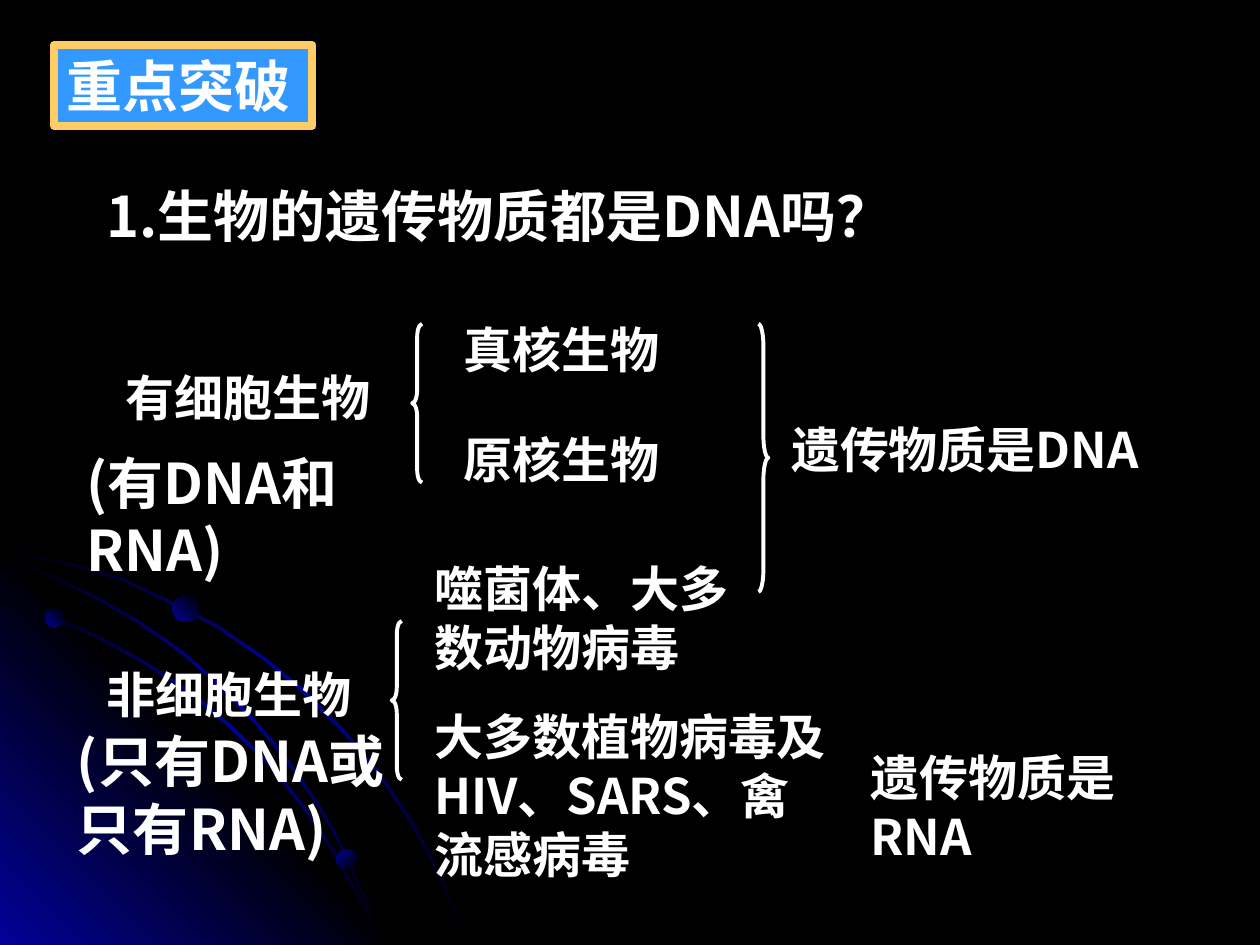
from lxml.etree import SubElement
from pptx import Presentation
from pptx.dml.color import RGBColor
from pptx.enum.shapes import MSO_SHAPE as Preset
from pptx.enum.text import MSO_ANCHOR as Anchor, MSO_AUTO_SIZE as AutoSize, PP_ALIGN as Align
from pptx.oxml.ns import qn
from pptx.util import Cm, Pt

color = RGBColor.from_string
CJK_FONT = "Noto Sans CJK SC"
WHITE, BLACK, NAVY = "FFFFFF", "000000", "010199"
SLIDE_BOTTOM = 1905


def write_text(shape, text, size=28, font=CJK_FONT):
    frame = shape.text_frame
    frame.word_wrap = True
    frame.auto_size = AutoSize.SHAPE_TO_FIT_TEXT
    frame.vertical_anchor = Anchor.TOP
    paragraph = frame.paragraphs[0]
    paragraph.alignment = Align.LEFT
    run = paragraph.add_run()
    run.text = text
    run.font.size = Pt(size)
    run.font.bold = True
    run.font.name = font
    run.font.color.rgb = color(WHITE)
    SubElement(run.font._element, qn("a:ea"), typeface=CJK_FONT)


def fill_gradient(shape, colors, angle):
    shape.shadow.inherit = False
    shape.line.fill.background()
    shape.fill.gradient()
    shape.fill.gradient_angle = angle
    stops = shape._element.spPr.find(qn("a:gradFill")).find(qn("a:gsLst"))
    for stop in list(stops):
        stops.remove(stop)
    for index, value in enumerate(colors):
        position = 100000 * index // (len(colors) - 1)
        stop = SubElement(stops, qn("a:gs"), pos=str(position))
        SubElement(stop, qn("a:srgbClr"), val=value)


presentation = Presentation()
presentation.slide_width, presentation.slide_height = Cm(25.4), Cm(19.05)
slide = presentation.slides.add_slide(presentation.slide_layouts[6])
slide.background.fill.solid()
slide.background.fill.fore_color.rgb = color(BLACK)

outer_orbit = [(0, 1105), (71, 1120), (145, 1135), (249, 1166), (345, 1212),
               (442, 1262), (531, 1323), (615, 1392), (691, 1468), (762, 1552),
               (826, 1646), (861, 1709), (894, 1773), (919, 1836), (945, 1902)]
inner_orbit = [(0, 1207), (104, 1240), (201, 1283), (297, 1336), (386, 1394),
               (467, 1463), (546, 1539), (615, 1626), (676, 1717), (726, 1808),
               (752, 1854), (770, 1902)]
middle_orbit = [(0, 1123), (99, 1156), (193, 1201), (282, 1252), (366, 1311),
                (445, 1379), (518, 1455), (582, 1532), (645, 1623), (683, 1689),
                (716, 1760), (747, 1829), (770, 1902)]
orbit_colors = [BLACK, NAVY, BLACK]
corner = [(0, 1085), (818, SLIDE_BOTTOM), (0, SLIDE_BOTTOM)]

outlines = [
    [*orbit, *[(max(x - 4, 0), min(y + 4, 1902)) for x, y in reversed(orbit)]]
    for orbit in (outer_orbit, inner_orbit, middle_orbit)
]
backdrop = [(outline, orbit_colors, 315) for outline in outlines]
backdrop.insert(1, (corner, [NAVY, BLACK, NAVY], 45))
for outline, colors, angle in backdrop:
    builder = slide.shapes.build_freeform(*outline[0], scale=Cm(0.01))
    builder.add_line_segments(outline[1:], close=True)
    fill_gradient(builder.convert_to_shape(), colors, angle)

for left, top, diameter, angle in [
    (0.91, 12.27, 0.38, 45),
    (6.78, 17.12, 0.41, 315),
    (3.48, 12.01, 0.53, 45),
]:
    planet = slide.shapes.add_shape(
        Preset.OVAL, Cm(left), Cm(top), Cm(diameter), Cm(diameter))
    fill_gradient(planet, [NAVY, BLACK], angle)

heading = slide.shapes.add_shape(
    Preset.RECTANGLE, Cm(1.09), Cm(0.91), Cm(5.21), Cm(1.63))
heading.shadow.inherit = False
heading.fill.solid()
heading.fill.fore_color.rgb = color("3399FF")
heading.line.color.rgb = color("FFCC66")
heading.line.width = Pt(4.5)
write_text(heading, "重点突破", size=32, font="Comic Neue")

for preset, left, top, height in [
    (Preset.LEFT_BRACE, 8.31, 6.53, 3.2),
    (Preset.LEFT_BRACE, 7.9, 12.52, 3.2),
    (Preset.RIGHT_BRACE, 15.29, 6.53, 5.4),
]:
    width = 0.2
    brace = slide.shapes.add_shape(preset, Cm(left), Cm(top), Cm(width), Cm(height))
    brace.shadow.inherit = False
    brace.adjustments[0] = height / 12 / width
    brace.fill.background()
    brace.line.color.rgb = color(WHITE)
    brace.line.width = Pt(2.25)

for text, size, left, top, width, height in [
    ("1.生物的遗传物质都是DNA吗？", 32, 1.9, 3.53, 16.41, 1.63),
    ("有细胞生物", 28, 2.29, 7.29, 5.99, 1.45),
    ("非细胞生物", 28, 1.9, 13.28, 5.79, 1.45),
    ("真核生物", 28, 9.09, 6.32, 4.8, 1.45),
    ("原核生物", 28, 9.09, 8.53, 4.8, 1.45),
    ("噬菌体、大多数动物病毒", 28, 8.51, 11.13, 7.39, 2.64),
    ("大多数植物病毒及HIV、SARS、禽流感病毒", 28, 8.51, 14.12, 8.59, 3.81),
    ("遗传物质是DNA", 28, 15.7, 8.33, 7.59, 2.64),
    ("遗传物质是RNA", 28, 17.3, 14.94, 7.21, 2.64),
    ("(有DNA和RNA)", 32, 1.5, 8.92, 6.81, 2.97),
    ("(只有DNA或只有RNA)", 32, 1.3, 14.53, 6.81, 4.32),
]:
    label = slide.shapes.add_textbox(Cm(left), Cm(top), Cm(width), Cm(height))
    write_text(label, text, size=size)

presentation.save("out.pptx")
